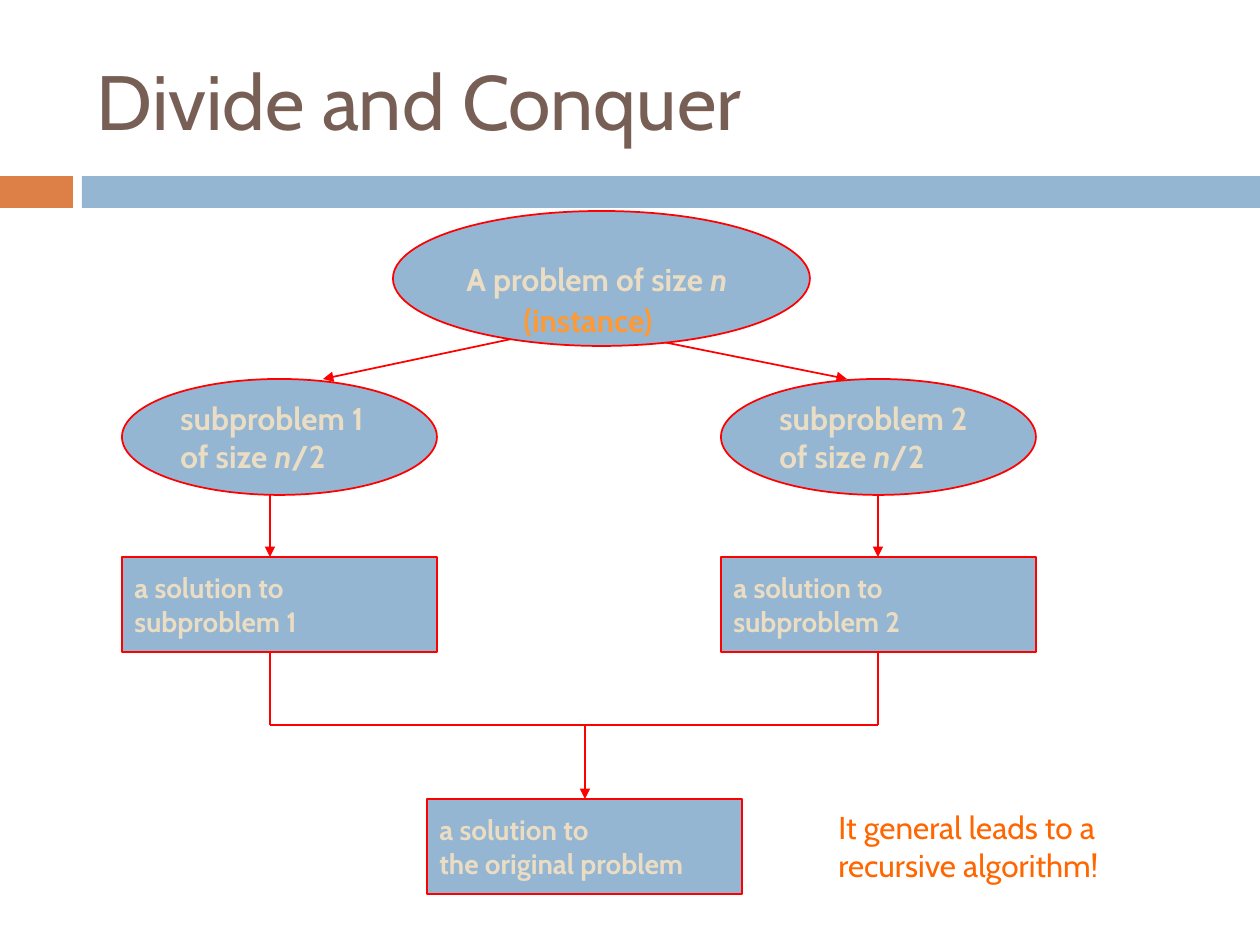
from dataclasses import dataclass

from lxml import etree
from pptx import Presentation
from pptx.dml.color import RGBColor
from pptx.enum import shapes, text
from pptx.oxml import ns
from pptx.util import Emu, Pt

PX = 914400 / 126
RED, BLUE, ORANGE, CREAM = "FF0000", "94B6D2", "DD8047", "EBDDC3"
OVAL, RECT = shapes.MSO_SHAPE.OVAL, shapes.MSO_SHAPE.RECTANGLE
WIDTH = 315
LEFT_X, RIGHT_X = 122, 721
LEFT_STEM, MID_STEM, RIGHT_STEM = 270, 585, 878


@dataclass
class Node:
    kind: shapes.MSO_SHAPE
    x: int
    y: int
    w: int
    h: int
    lines: tuple[str, ...]
    size: int


@dataclass
class Link:
    x1: int
    y1: int
    x2: int
    y2: int
    arrow: bool = True


@dataclass
class Label:
    x: int
    y: int
    w: int
    h: int
    words: str
    color: str
    bold: bool


def px(*lengths: int) -> list[Emu]:
    return [Emu(round(n * PX)) for n in lengths]


def rgb(value: str) -> RGBColor:
    return RGBColor.from_string(value)


def write(tf, lines: tuple[str, ...], size: int, color: str, bold: bool) -> None:
    tf.word_wrap = True
    for i, line in enumerate(lines):
        p = tf.paragraphs[0] if i == 0 else tf.add_paragraph()
        p.alignment = text.PP_ALIGN.LEFT
        for j, part in enumerate(line.split("*")):
            r = p.add_run()
            r.text = part
            fmt = {"name": "Cabin", "size": Pt(size), "bold": bold, "italic": j % 2 == 1}
            for key, value in fmt.items():
                setattr(r.font, key, value)
            r.font.color.rgb = rgb(color)


def add_block(s, kind: shapes.MSO_SHAPE, box: tuple[int, ...], fill: str):
    sp = s.shapes.add_shape(kind, *px(*box))
    sp.shadow.inherit = False
    sp.fill.solid()
    sp.fill.fore_color.rgb = rgb(fill)
    sp.line.fill.background()
    return sp


def add_node(s, node: Node) -> None:
    sp = add_block(s, node.kind, (node.x, node.y, node.w, node.h), BLUE)
    sp.line.color.rgb = rgb(RED)
    sp.line.width = Pt(1)
    sp.text_frame.vertical_anchor = text.MSO_ANCHOR.MIDDLE
    write(sp.text_frame, node.lines, node.size, CREAM, True)


def add_link(s, link: Link) -> None:
    cx = s.shapes.add_connector(
        shapes.MSO_CONNECTOR.STRAIGHT, *px(link.x1, link.y1, link.x2, link.y2)
    )
    cx.line.color.rgb = rgb(RED)
    cx.line.width = Pt(1)
    if link.arrow:
        etree.SubElement(cx.line._get_or_add_ln(), ns.qn("a:tailEnd"), type="triangle")
    etree.SubElement(cx._element.spPr, ns.qn("a:effectLst"))


def add_label(s, label: Label) -> None:
    sp = s.shapes.add_textbox(*px(label.x, label.y, label.w, label.h))
    write(sp.text_frame, (label.words,), 18, label.color, label.bold)


def add_title(s, words: str) -> None:
    sp = s.shapes.title
    for key, value in zip(("left", "top", "width", "height"), px(84, 32, 1124, 136)):
        setattr(sp, key, value)
    sp.text_frame.vertical_anchor = text.MSO_ANCHOR.MIDDLE
    write(sp.text_frame, (words,), 44, "775F55", False)


def main() -> None:
    prs = Presentation()
    prs.slide_width, prs.slide_height = px(1260, 945)
    s = prs.slides.add_slide(prs.slide_layouts[5])

    add_block(s, RECT, (0, 176, 73, 32), ORANGE)
    add_block(s, RECT, (82, 176, 1178, 32), BLUE)
    add_title(s, "Divide and Conquer")

    for i, (x, stem) in enumerate(((LEFT_X, LEFT_STEM), (RIGHT_X, RIGHT_STEM)), 1):
        add_node(s, Node(OVAL, x, 379, WIDTH, 116, (f"subproblem {i}", "of size *n*/2"), 18))
        add_node(s, Node(RECT, x, 557, WIDTH, 95, ("a solution to", f"subproblem {i}"), 16))
        add_link(s, Link(stem, 494, stem, 557))
        add_link(s, Link(stem, 652, stem, 725, False))

    add_link(s, Link(521, 337, 323, 379))
    add_link(s, Link(638, 337, 847, 379))
    add_node(s, Node(OVAL, 393, 211, 417, 135, ("A problem of size *n*",), 18))

    add_link(s, Link(LEFT_STEM, 725, RIGHT_STEM, 725, False))
    add_link(s, Link(MID_STEM, 725, MID_STEM, 799))
    add_node(s, Node(RECT, 427, 799, WIDTH, 95, ("a solution to", "the original problem"), 16))

    add_label(s, Label(511, 295, 199, 50, "(instance)", "FF9933", True))
    add_label(
        s, Label(826, 802, 378, 113, "It general leads to a recursive algorithm!", "FF6600", False)
    )
    prs.save("out.pptx")


if __name__ == "__main__":
    main()
